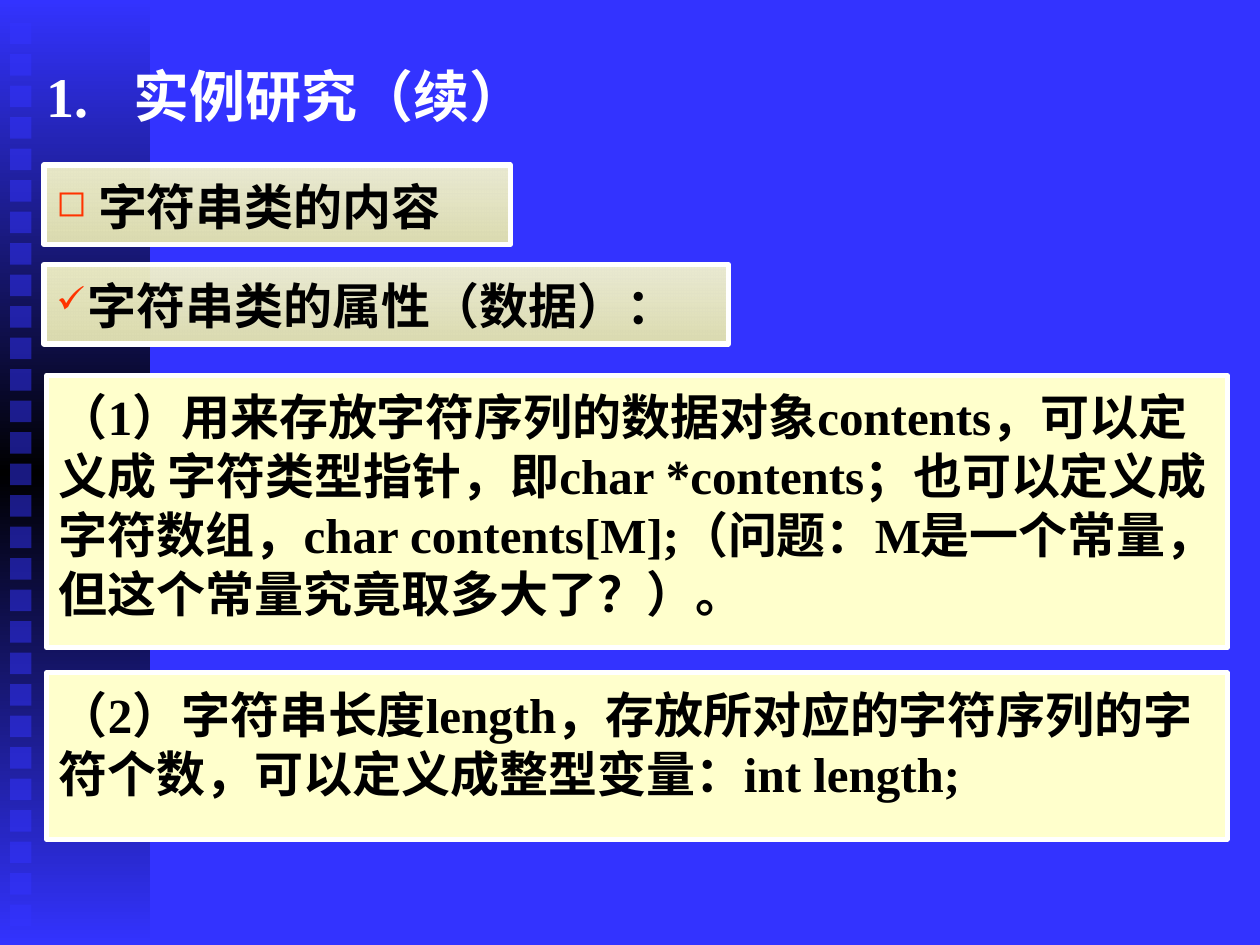
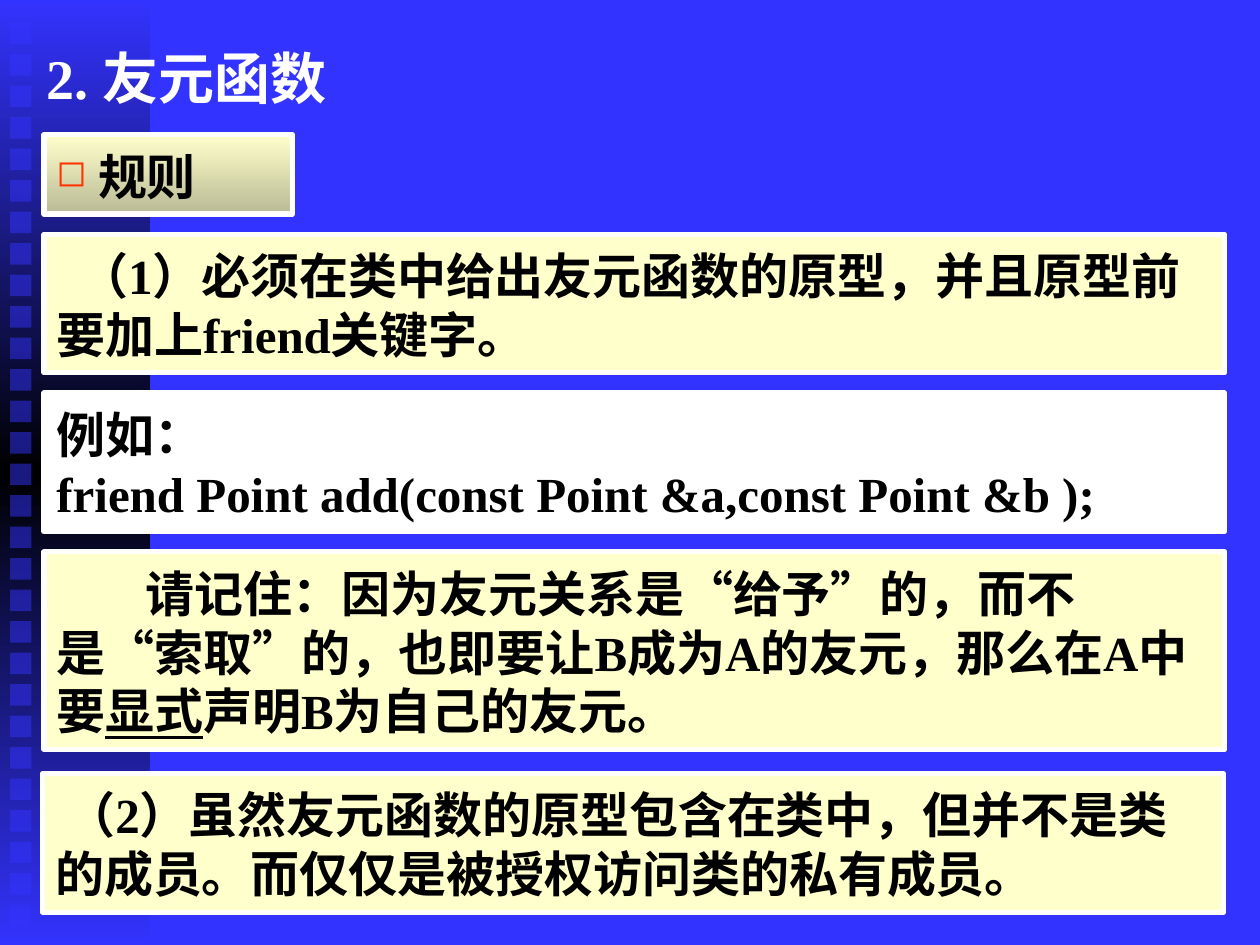
"""Build two lecture slides on string classes and friend functions."""
from pptx import Presentation
from pptx.dml.color import RGBColor
from pptx.enum.shapes import MSO_SHAPE
from pptx.enum.text import MSO_ANCHOR, MSO_AUTO_SIZE, PP_ALIGN
from pptx.oxml import parse_xml
from pptx.oxml.ns import nsdecls, qn
from pptx.util import Inches, Pt

BLUE, BLACK, WHITE, CREAM, RED = "3333FF", "000000", "FFFFFF", "FFFFCC", "FF3300"
FONT = "Times New Roman"
LEFT, WIDE = 0.35, 9.37
GLASS = [(CREAM, 89), ("DCDCB0", 100)]
OLIVE = [(CREAM, 100), ("BABA95", 100)]
PLAIN = [(CREAM, 100)]
SQUARE, CHECK = "◻", "✓"


def block(shapes, at, stops):
    """Add a rectangle with a solid fill or an even vertical gradient."""
    shape = shapes.add_shape(MSO_SHAPE.RECTANGLE, *map(Inches, at))
    shape.shadow.inherit = False
    shape.line.fill.background()
    tints = [f'<a:srgbClr val="{tint}"><a:alpha val="{share * 1000}"/></a:srgbClr>'
             for tint, share in stops]
    if len(tints) == 1:
        xml = f'<a:solidFill {nsdecls("a")}>{tints[0]}</a:solidFill>'
    else:
        step = 100000 // (len(tints) - 1)
        marks = "".join(f'<a:gs pos="{n * step}">{tint}</a:gs>' for n, tint in enumerate(tints))
        xml = (f'<a:gradFill {nsdecls("a")} rotWithShape="1"><a:gsLst>{marks}</a:gsLst>'
               '<a:lin ang="5400000" scaled="0"/></a:gradFill>')
    shape.fill.background()
    props = shape.element.spPr
    props.replace(props.find(qn("a:noFill")), parse_xml(xml))
    return shape


def style(para, size, tint):
    """Set the shared bold type on a paragraph."""
    para.alignment = PP_ALIGN.LEFT
    para.font.name, para.font.size, para.font.bold = FONT, Pt(size), True
    para.font.color.rgb = RGBColor.from_string(tint)


deck = Presentation()
deck.slide_width, deck.slide_height = Inches(10), Inches(7.5)
master = deck.slide_master
master.background.fill.solid()
master.background.fill.fore_color.rgb = RGBColor.from_string(BLUE)

pages = [
    ("1.\t实例研究（续）", (0.27, 0.44, 8.58, 0.75), MSO_ANCHOR.TOP, [
        ((LEFT, 1.31, 3.7, 0.63), GLASS, SQUARE, 0.33, "字符串类的内容"),
        ((0.37, 2.98, WIDE, 2.16), PLAIN, None, 0,
         "（1）用来存放字符序列的数据对象contents，可以定义成 字符类型指针，"
         "即char *contents；也可以定义成字符数组，char contents[M];"
         "（问题：M是一个常量，但这个常量究竟取多大了？）。"),
        ((LEFT, 2.1, 5.43, 0.63), GLASS, CHECK, 0.25, "字符串类的属性（数据）："),
        ((0.37, 5.34, WIDE, 1.32), PLAIN, None, 0,
         "（2）字符串长度length，存放所对应的字符序列的字符个数，"
         "可以定义成整型变量：int length;"),
    ]),
    ("2. 友元函数", (0.27, 0.16, 9.21, 0.91), MSO_ANCHOR.MIDDLE, [
        ((LEFT, 1.07, 1.97, 0.63), OLIVE, SQUARE, 0.33, "规则"),
        ((LEFT, 1.86, WIDE, 1.1), PLAIN, None, 0.18,
         "（1）必须在类中给出友元函数的原型，并且原型前要加上friend关键字。"),
        ((LEFT, 3.12, WIDE, 1.1), [(WHITE, 100)], None, 0,
         "例如：\nfriend Point add(const Point &a,const Point &b );"),
        ((LEFT, 4.38, WIDE, 1.57), PLAIN, None, 0.71,
         "请记住：因为友元关系是“给予”的，而不是“索取”的，"
         "也即要让B成为A的友元，那么在A中要|显式|声明B为自己的友元。"),
        ((0.34, 6.14, WIDE, 1.1), PLAIN, None, 0.09,
         "（2）虽然友元函数的原型包含在类中，但并不是类的成员。"
         "而仅仅是被授权访问类的私有成员。"),
    ]),
]

for head, spot, anchor, boxes in pages:
    slide = deck.slides.add_slide(deck.slide_layouts[5])
    title = slide.shapes.title
    title.left, title.top, title.width, title.height = map(Inches, spot)
    frame = title.text_frame
    frame.text = head
    frame.word_wrap, frame.auto_size = True, MSO_AUTO_SIZE.NONE
    frame.vertical_anchor = anchor
    para = frame.paragraphs[0]
    para._p.get_or_add_pPr().append(parse_xml(
        f'<a:tabLst {nsdecls("a")}><a:tab pos="{Inches(0.69)}" algn="l"/></a:tabLst>'))
    style(para, 32, WHITE)

    for at, stops, mark, dent, words in boxes:
        shape = block(slide.shapes, at, stops)
        shape.line.color.rgb = RGBColor.from_string(WHITE)
        shape.line.width = Pt(3)
        frame = shape.text_frame
        frame.word_wrap, frame.vertical_anchor = True, MSO_ANCHOR.TOP
        frame.margin_top = Inches(0.09)
        for n, line in enumerate(words.split("\n")):
            para = frame.add_paragraph() if n else frame.paragraphs[0]
            for k, part in enumerate(line.split("|")):
                run = para.add_run()
                run.text = part
                if k % 2:
                    run.font.underline = True
            props = para._p.get_or_add_pPr()
            props.set("indent", str(Inches(-dent if mark else dent)))
            if mark:
                props.set("marL", str(Inches(dent)))
                for xml in (f'<a:buClr {nsdecls("a")}><a:srgbClr val="{RED}"/></a:buClr>',
                            f'<a:buSzPct {nsdecls("a")} val="75000"/>',
                            f'<a:buChar {nsdecls("a")} char="{mark}"/>'):
                    props.append(parse_xml(xml))
            style(para, 28, BLACK)

band = slide.shapes.add_group_shape()
block(band.shapes, (0, 0, 1.19, 7.5), [(BLUE, 100), (BLACK, 100), (BLUE, 100)])
for row in range(29):
    block(band.shapes, (0.08, 0.18 + row * 0.25, 0.17, 0.17), [(BLUE, 50)])
for n, node in enumerate(band.element.iter(qn("p:cNvPr")), 100):
    node.set("id", str(n))
master.shapes.element.insert(2, band.element)

deck.save("out.pptx")
